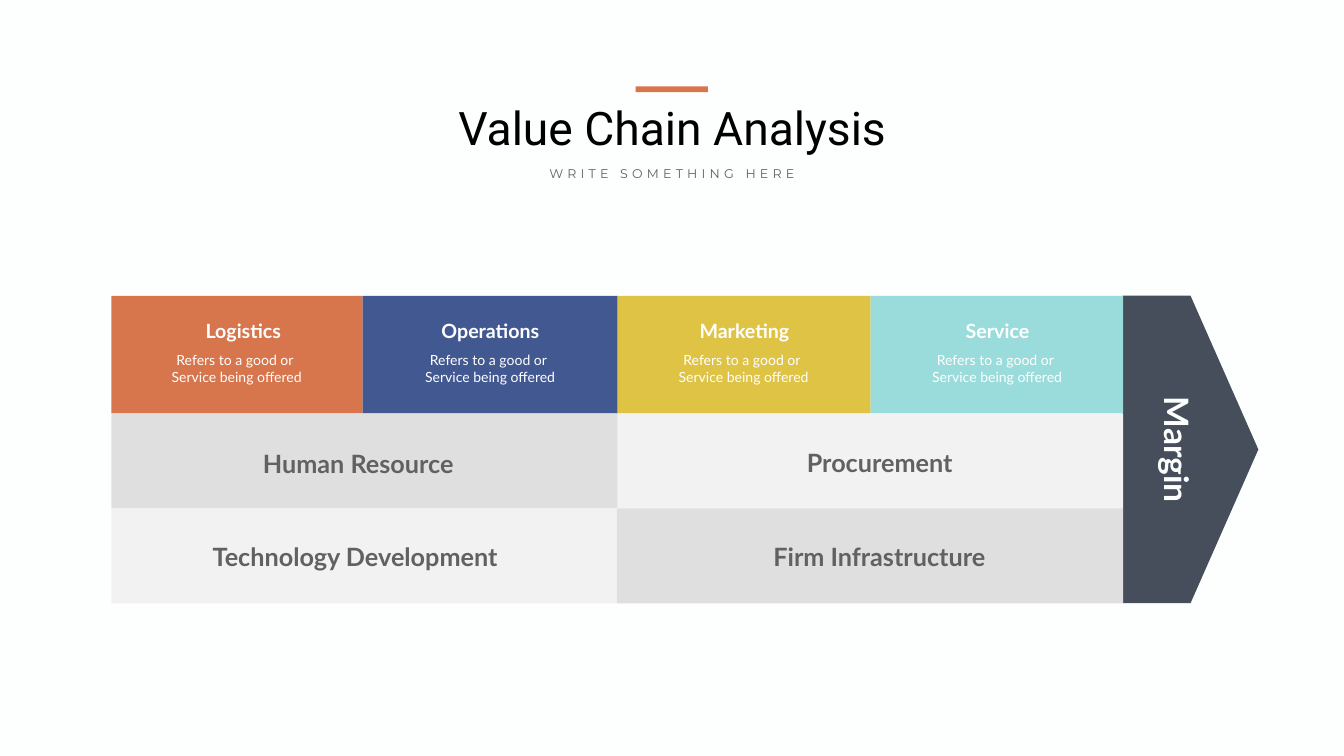
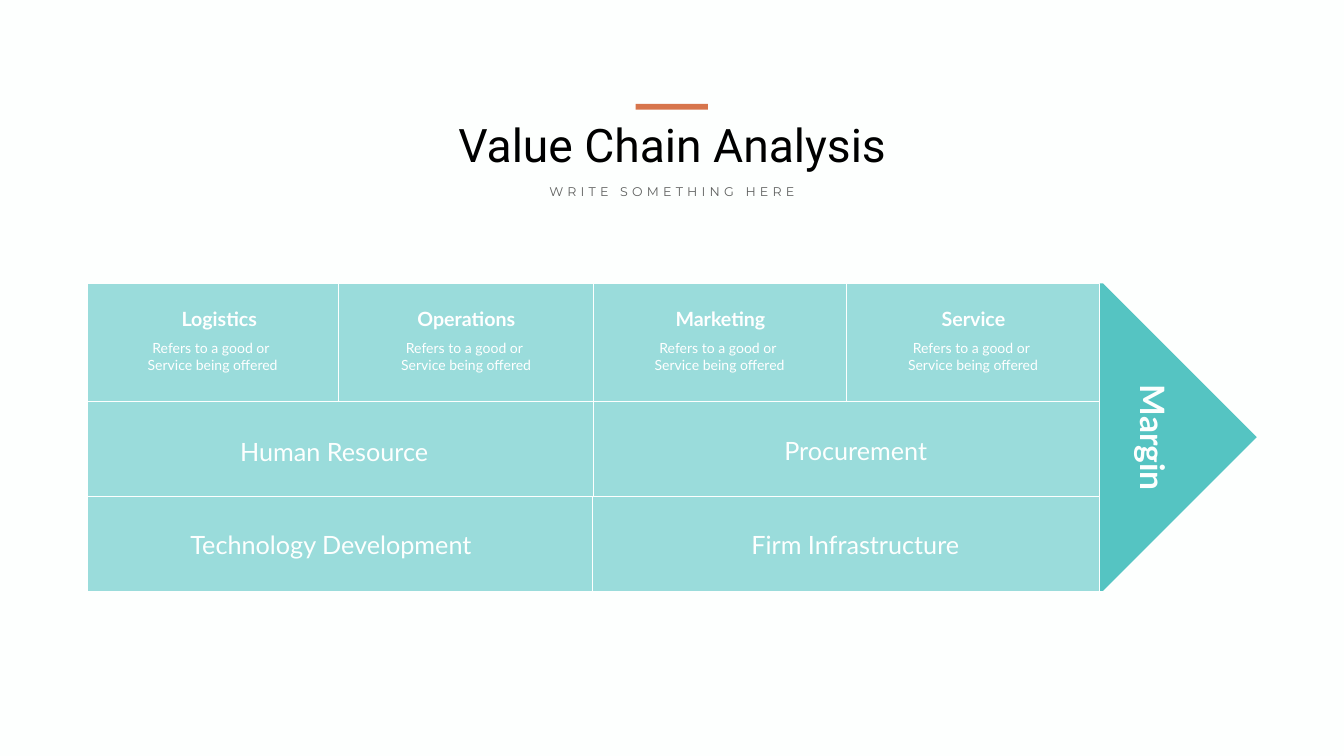
from pptx import Presentation
from pptx.dml.color import RGBColor
from pptx.enum.shapes import MSO_SHAPE
from pptx.enum.text import MSO_ANCHOR, PP_ALIGN
from pptx.util import Pt

RECTANGLE = MSO_SHAPE.RECTANGLE
PENTAGON = MSO_SHAPE.PENTAGON
MIDDLE = MSO_ANCHOR.MIDDLE
CENTER = PP_ALIGN.CENTER

PAPER = RGBColor(0xFD, 0xFF, 0xFE)
WHITE = RGBColor(0xFF, 0xFF, 0xFF)
BLACK = RGBColor(0x00, 0x00, 0x00)
GRAY = RGBColor(0x60, 0x61, 0x60)
SILVER = RGBColor(0xDF, 0xDF, 0xDF)
PALE = RGBColor(0xF2, 0xF2, 0xF2)
SLATE = RGBColor(0x45, 0x4E, 0x5A)
ORANGE = RGBColor(0xD7, 0x75, 0x4C)
BLUE = RGBColor(0x42, 0x58, 0x91)
YELLOW = RGBColor(0xDE, 0xC3, 0x45)
AQUA = RGBColor(0x9A, 0xDC, 0xDB)
TEAL = RGBColor(0x55, 0xC4, 0xC2)

ACTIVITY_EDGES = [159, 518, 882, 1243.5, 1604]
ACTIVITY_TOP, ACTIVITY_HEIGHT = 422.5, 168
SUPPORT_HEIGHT = 135.4
SUPPORT_TOP = 591
CHAIN_HEIGHT = 439.2
BODY_LEFT, BODY_STEP, BODY_WIDTH = 214, 362, 248

ACTIVITIES = [
    ("Logistics", 275.8, 143.3),
    ("Operations", 611.3, 178),
    ("Marketing", 974.2, 178),
    ("Service", 1335.6, 178),
]
DESCRIPTION = "Refers to a good or \nService being offered"

# name, row, cell left, cell right, label left, label top, label width
SUPPORTS = [
    ("Human Resource", 0, 159, 882, 279.4, 636.5, 464.4),
    ("Technology Development ", 1, 159, 880.5, 211.7, 769, 599.8),
    ("Procurement", 0, 882, 1604, 1062.7, 635, 387.4),
    ("Firm Infrastructure", 1, 880.5, 1604, 1026.7, 769.7, 458.6),
]

VARIANTS = [
    dict(shift_x=0, shift_y=0, title_top=137.5,
         activity_fills=[ORANGE, BLUE, YELLOW, AQUA],
         support_fills=[SILVER, PALE, PALE, SILVER],
         border=None, label_color=GRAY, label_bold=True,
         arrow_fill=SLATE, arrow_left=1603.5, arrow_width=193.7),
    dict(shift_x=-34.3, shift_y=-17.5, title_top=162.5,
         activity_fills=[AQUA] * 4,
         support_fills=[AQUA] * 4,
         border=PAPER, label_color=PAPER, label_bold=False,
         arrow_fill=TEAL, arrow_left=159.5, arrow_width=1669.7),
]


def add_block(slide, kind, left, top, width, height, fill, border=None):
    shape = slide.shapes.add_shape(kind, Pt(left), Pt(top), Pt(width), Pt(height))
    shape.shadow.inherit = False
    shape.fill.solid()
    shape.fill.fore_color.rgb = fill
    if border is None:
        shape.line.fill.background()
    else:
        shape.line.color.rgb = border
        shape.line.width = Pt(1)


def add_text(slide, text, left, top, width, height, *, size, color,
             font="Lato", bold=False, spacing=0, rotation=0):
    box = slide.shapes.add_textbox(Pt(left), Pt(top), Pt(width), Pt(height))
    box.rotation = rotation
    frame = box.text_frame
    frame.word_wrap = True
    frame.vertical_anchor = MIDDLE
    frame.margin_top = frame.margin_bottom = Pt(3.6)
    frame.text = text
    for paragraph in frame.paragraphs:
        paragraph.alignment = CENTER
        for run in paragraph.runs:
            run.font.name = font
            run.font.size = Pt(size)
            run.font.bold = bold
            run.font.color.rgb = color
            if spacing:
                run.font._element.set("spc", str(spacing * 100))


presentation = Presentation()
presentation.slide_width = Pt(1919.5)
presentation.slide_height = Pt(1080)

for variant in VARIANTS:
    slide = presentation.slides.add_slide(presentation.slide_layouts[6])
    slide.background.fill.solid()
    slide.background.fill.fore_color.rgb = PAPER
    x, y = variant["shift_x"], variant["shift_y"]
    border = variant["border"]

    add_block(slide, PENTAGON, variant["arrow_left"] + x, ACTIVITY_TOP + y,
              variant["arrow_width"], CHAIN_HEIGHT, variant["arrow_fill"])

    for index, (name, left, width) in enumerate(ACTIVITIES):
        cell_left, cell_right = ACTIVITY_EDGES[index:index + 2]
        add_block(slide, RECTANGLE, cell_left + x, ACTIVITY_TOP + y,
                  cell_right - cell_left, ACTIVITY_HEIGHT,
                  variant["activity_fills"][index], border)
        add_text(slide, name, left + x, 448.7 + y, width, 46.8,
                 size=28, color=WHITE, bold=True)
        add_text(slide, DESCRIPTION, BODY_LEFT + index * BODY_STEP + x, 495 + y,
                 BODY_WIDTH, 63.4, size=20, color=WHITE)

    for (name, row, left, right, *_), fill in zip(SUPPORTS, variant["support_fills"]):
        add_block(slide, RECTANGLE, left + x, SUPPORT_TOP + row * SUPPORT_HEIGHT + y,
                  right - left, SUPPORT_HEIGHT, fill, border)
    for name, *_, left, top, width in SUPPORTS:
        add_text(slide, name, left + x, top + y, width, 51.1, size=36,
                 color=variant["label_color"], bold=variant["label_bold"])

    add_text(slide, "Margin", 1512 + x, 610 + y, 339.8, 65.5,
             size=48, color=PAPER, bold=True, rotation=90)

    title_top = variant["title_top"]
    add_text(slide, "Value Chain Analysis", 557.3, title_top, 805.7, 87,
             size=66, color=BLACK, font="Roboto")
    add_text(slide, "WRITE SOMETHING HERE", 745.2, title_top + 96.5, 429, 28.8,
             size=18, color=GRAY, font="Montserrat", spacing=6)
    add_block(slide, RECTANGLE, 908, title_top - 14, 103, 8, ORANGE)

presentation.save("out.pptx")
